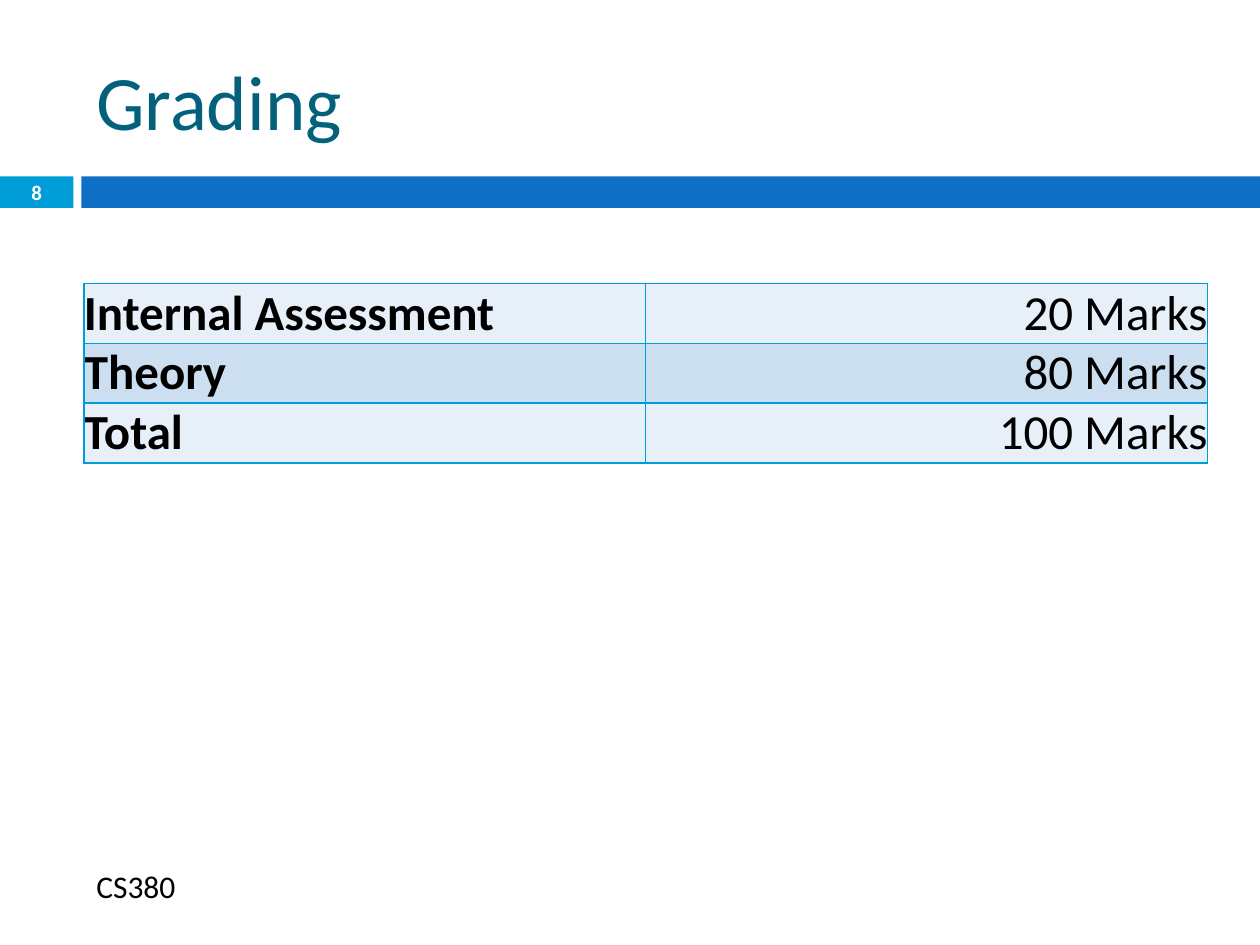
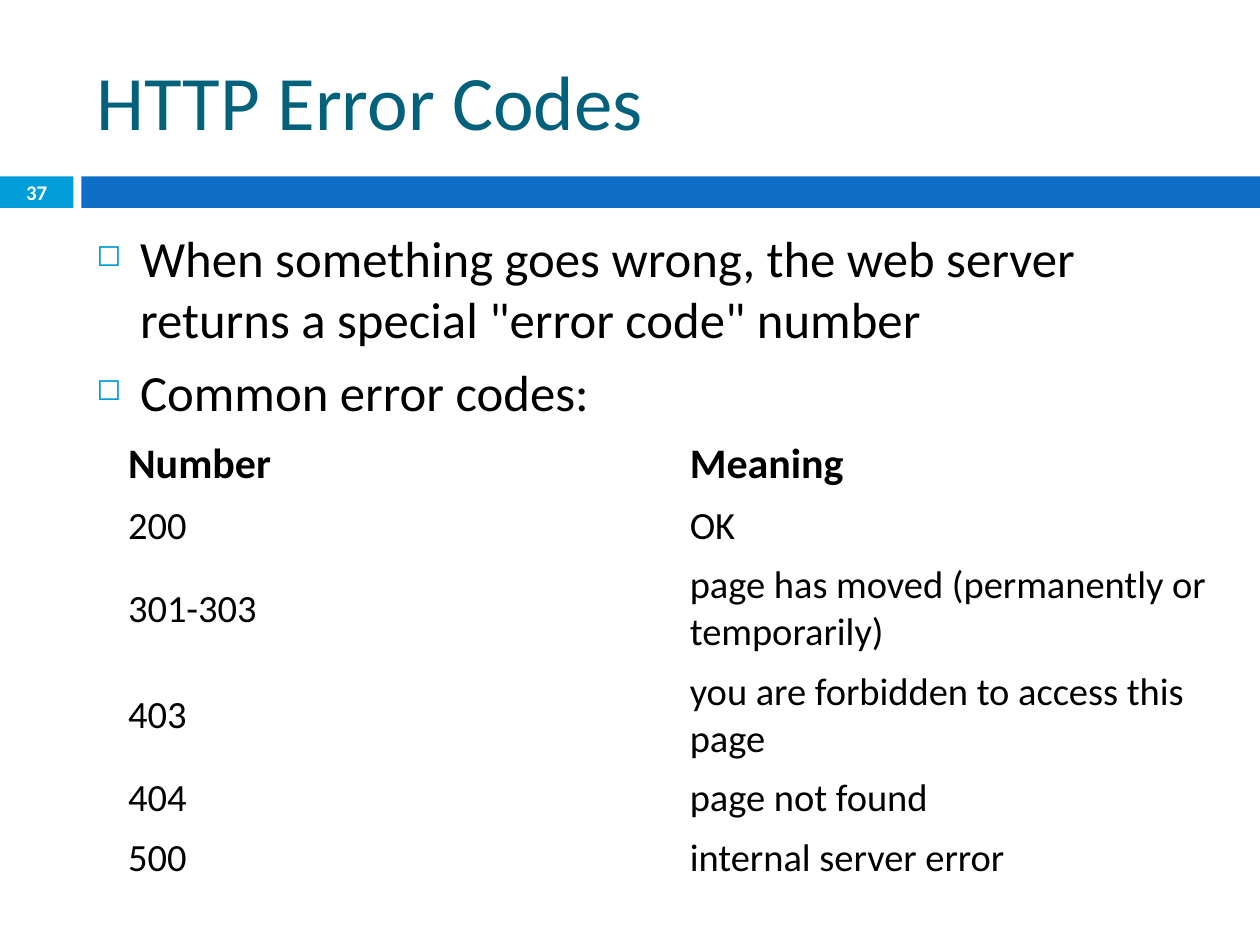
from lxml.etree import SubElement
from pptx import Presentation
from pptx.dml.color import RGBColor
from pptx.enum.shapes import MSO_SHAPE
from pptx.enum.text import MSO_ANCHOR, PP_ALIGN
from pptx.oxml.ns import qn
from pptx.util import Pt

GRADING = {
    "title": "Grading",
    "number": 8,
    "footer": "CS380",
    "rows": [
        ("Internal Assessment", "20 Marks"),
        ("Theory", "80 Marks"),
        ("Total", "100 Marks"),
    ],
}
ERROR_CODES = {
    "title": "HTTP Error Codes",
    "number": 37,
    "bullets": [
        'When something goes wrong, the web server returns a special "error code" number',
        "Common error codes:",
    ],
    "rows": [
        ("Number", "Meaning"),
        ("200", "OK"),
        ("301-303", "page has moved (permanently or temporarily)"),
        ("403", "you are forbidden to access this page"),
        ("404", "page not found"),
        ("500", "internal server error"),
    ],
    "row_heights": [36.5, 34, 61, 61, 34, 34],
}

COLORS = {
    "title": "04617B",
    "accent": "009DD9",
    "band": "0F6FC6",
    "text": "000000",
    "white": "FFFFFF",
    "row_light": "E7EFF8",
    "row_dark": "CCDFF1",
}
FONT = "Calibri"
SLIDE_WIDTH, SLIDE_HEIGHT = 720, 540
MARGIN, CONTENT_WIDTH = 48, 642
BAND_TOP, BAND_HEIGHT = 100.8, 18
NUMBER_WIDTH, BAND_LEFT = 42, 46.5


def color(name):
    return RGBColor.from_string(COLORS[name])


def style(paragraph, size, color_name="text", bold=False, align=PP_ALIGN.LEFT):
    paragraph.alignment = align
    font = paragraph.font
    font.name, font.size, font.bold = FONT, Pt(size), bold
    font.color.rgb = color(color_name)


def add_text(slide, box, text, size, color_name="text", bold=False,
             align=PP_ALIGN.LEFT, anchor=MSO_ANCHOR.TOP):
    text_frame = slide.shapes.add_textbox(*map(Pt, box)).text_frame
    text_frame.word_wrap = True
    text_frame.vertical_anchor = anchor
    text_frame.text = text
    for paragraph in text_frame.paragraphs:
        style(paragraph, size, color_name, bold, align)
    return text_frame


def add_band(slide, left, width, color_name):
    shape = slide.shapes.add_shape(
        MSO_SHAPE.RECTANGLE, Pt(left), Pt(BAND_TOP), Pt(width), Pt(BAND_HEIGHT))
    shape.shadow.inherit = False
    shape.fill.solid()
    shape.fill.fore_color.rgb = color(color_name)
    shape.line.fill.background()


def add_base_slide(presentation, content):
    slide = presentation.slides.add_slide(presentation.slide_layouts[6])
    add_band(slide, 0, NUMBER_WIDTH, "accent")
    add_band(slide, BAND_LEFT, SLIDE_WIDTH - BAND_LEFT, "band")
    add_text(slide, (MARGIN, 18, CONTENT_WIDTH, 78), content["title"], 44,
             "title", anchor=MSO_ANCHOR.MIDDLE)
    add_text(slide, (0, 100, NUMBER_WIDTH, 19.5), str(content["number"]), 11.9,
             "white", True, PP_ALIGN.CENTER, MSO_ANCHOR.MIDDLE)
    return slide


def add_bullets(slide, box, bullets):
    text_frame = add_text(slide, box, "\n".join(bullets), 29)
    for index, paragraph in enumerate(text_frame.paragraphs):
        paragraph.space_before = Pt(7 if index else 0)
        properties = paragraph._p.get_or_add_pPr()
        properties.set("marL", str(Pt(25)))
        properties.set("indent", str(-Pt(25)))
        bullet_color = SubElement(properties, qn("a:buClr"))
        SubElement(bullet_color, qn("a:srgbClr"), val=COLORS["accent"])
        SubElement(properties, qn("a:buSzPct"), val="60000")
        SubElement(properties, qn("a:buChar"), char="◻")
        style(paragraph, 29)


def add_borders(cell):
    properties = cell._tc.get_or_add_tcPr()
    for side in ("lnL", "lnR", "lnT", "lnB"):
        line = SubElement(properties, qn(f"a:{side}"), w=str(Pt(1)))
        fill = SubElement(line, qn("a:solidFill"))
        SubElement(fill, qn("a:srgbClr"), val=COLORS["accent"])


def add_table(slide, left, top, rows, row_heights):
    table = slide.shapes.add_table(
        len(rows), 2, Pt(left), Pt(top), Pt(CONTENT_WIDTH), Pt(sum(row_heights))).table
    table.first_row = table.horz_banding = False
    for row, height in zip(table.rows, row_heights):
        row.height = Pt(height)
    for row, texts in zip(table.rows, rows):
        for cell, text in zip(row.cells, texts):
            cell.text = text
    return table


def build_grading(presentation):
    slide = add_base_slide(presentation, GRADING)
    add_text(slide, (MARGIN, 492, 427, 29), GRADING["footer"], 18)
    rows = GRADING["rows"]
    table = add_table(slide, MARGIN, 162, rows, [34.2] * len(rows))
    for row_index, row in enumerate(table.rows):
        for column_index, cell in enumerate(row.cells):
            cell.margin_left = cell.margin_right = cell.margin_top = cell.margin_bottom = 0
            cell.vertical_anchor = MSO_ANCHOR.BOTTOM
            add_borders(cell)
            cell.fill.solid()
            cell.fill.fore_color.rgb = color("row_dark" if row_index % 2 else "row_light")
            style(cell.text_frame.paragraphs[0], 28, bold=column_index == 0,
                  align=PP_ALIGN.RIGHT if column_index else PP_ALIGN.LEFT)


def build_error_codes(presentation):
    slide = add_base_slide(presentation, ERROR_CODES)
    add_bullets(slide, (MARGIN, 126, CONTENT_WIDTH, 354), ERROR_CODES["bullets"])
    table = add_table(slide, 66, 247, ERROR_CODES["rows"], ERROR_CODES["row_heights"])
    for row_index, row in enumerate(table.rows):
        for cell in row.cells:
            cell.vertical_anchor = MSO_ANCHOR.MIDDLE
            cell.fill.background()
            is_header = row_index == 0
            style(cell.text_frame.paragraphs[0], 24 if is_header else 22, bold=is_header)


def main():
    presentation = Presentation()
    presentation.slide_width, presentation.slide_height = Pt(SLIDE_WIDTH), Pt(SLIDE_HEIGHT)
    build_grading(presentation)
    build_error_codes(presentation)
    presentation.save("out.pptx")


if __name__ == "__main__":
    main()
